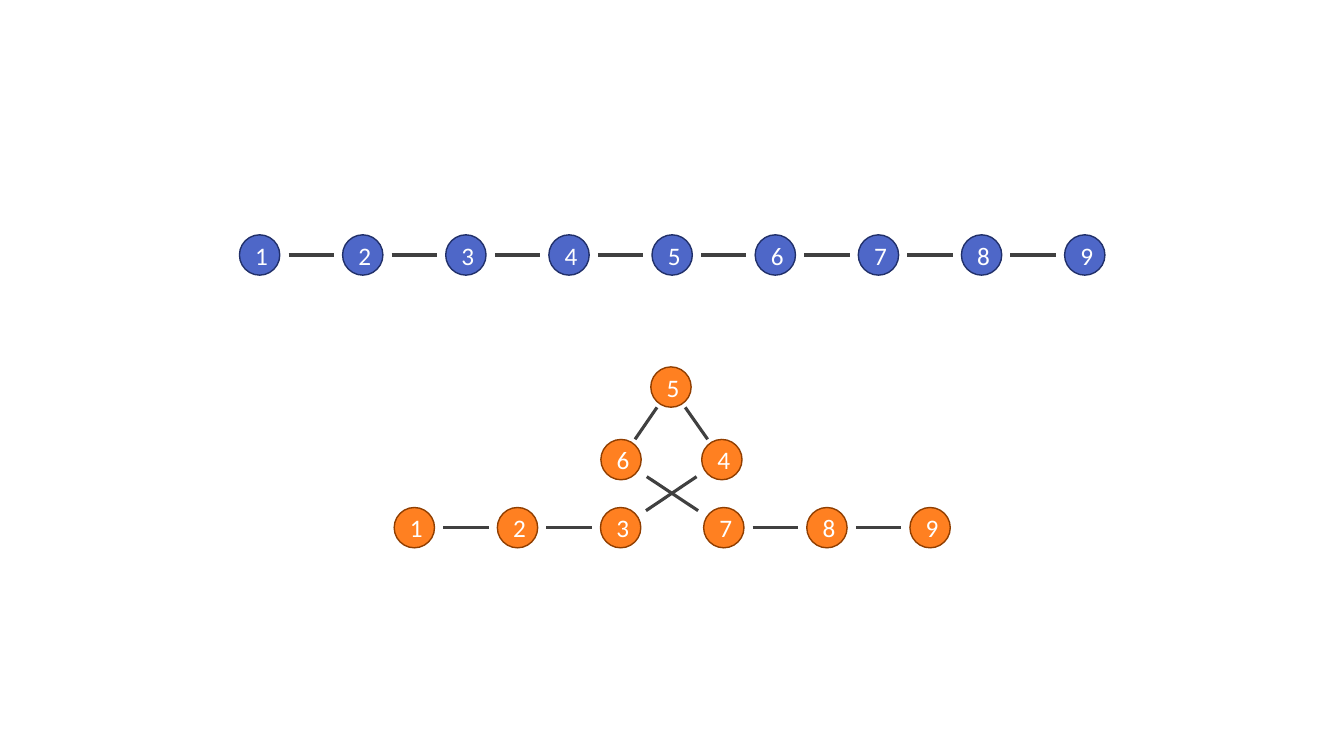
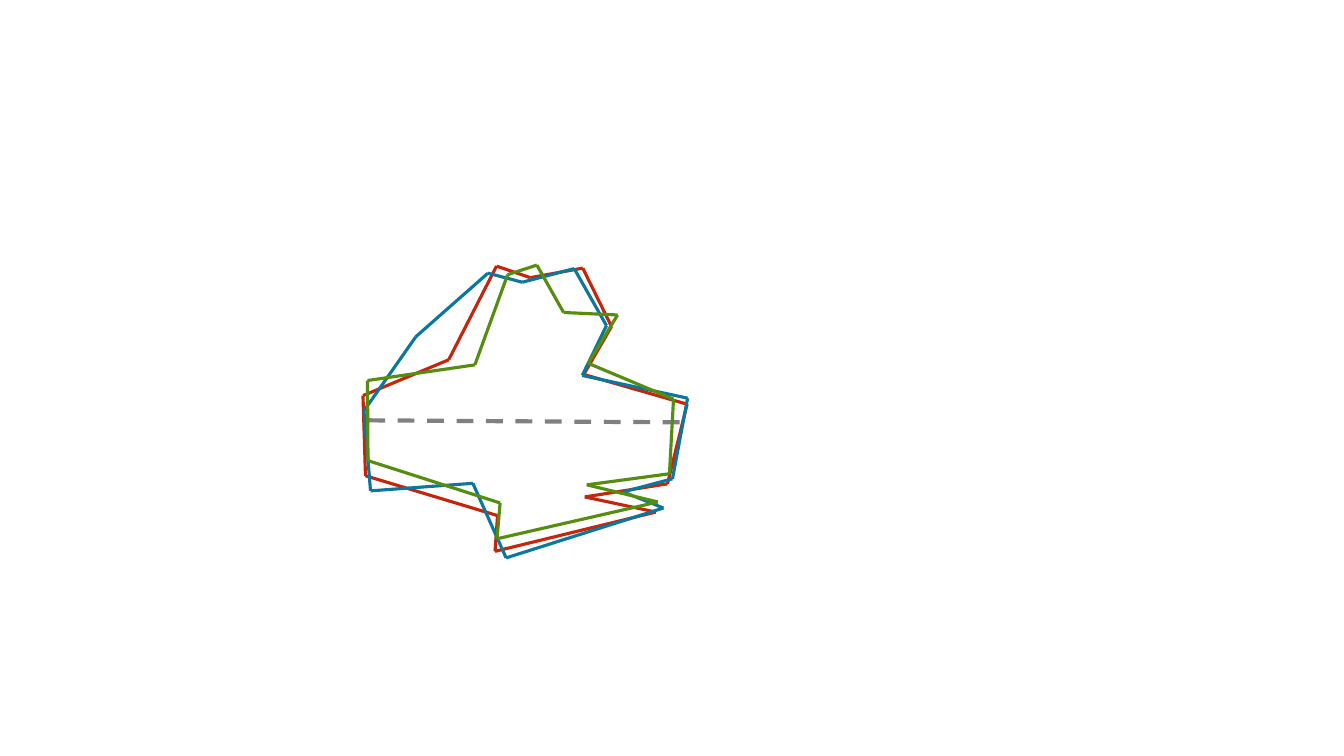
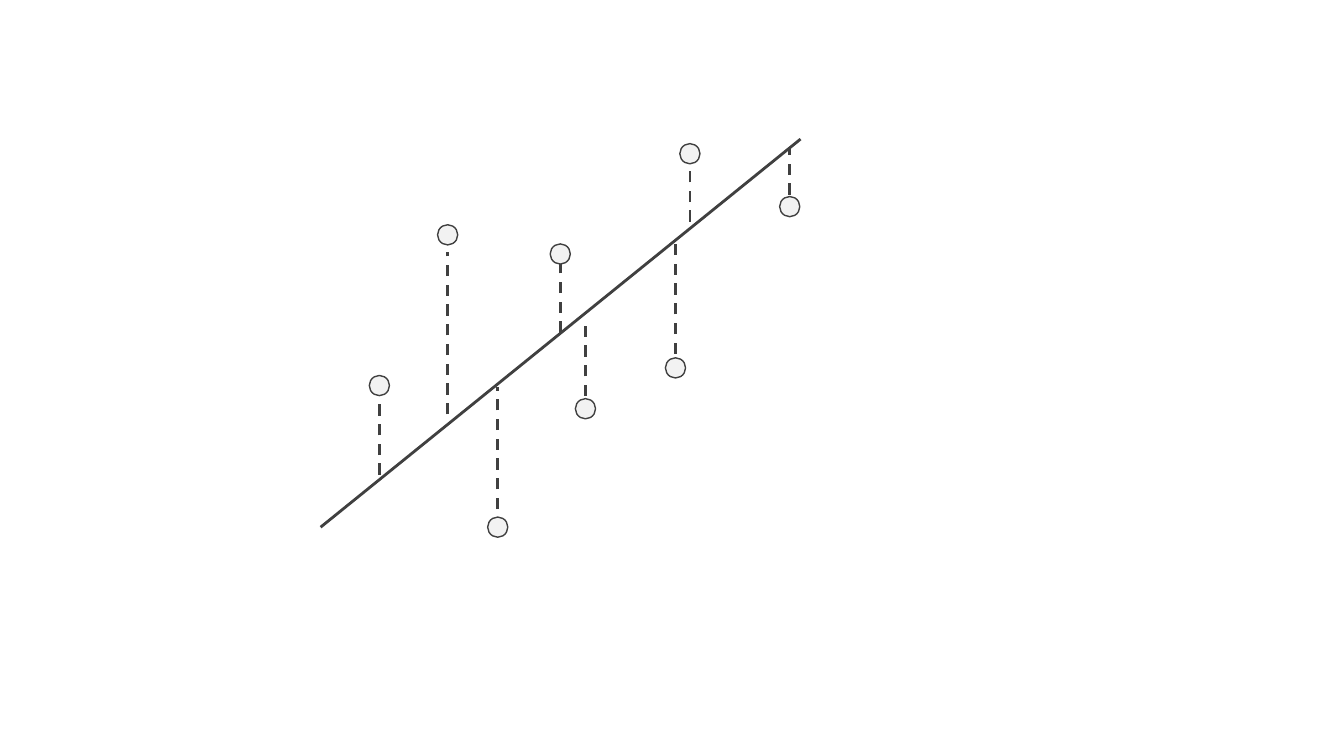
from dataclasses import dataclass
from itertools import pairwise

from lxml import etree
from pptx import Presentation
from pptx.dml.color import RGBColor
from pptx.enum.dml import MSO_LINE
from pptx.enum.shapes import MSO_CONNECTOR, MSO_SHAPE
from pptx.enum.text import MSO_ANCHOR, PP_ALIGN
from pptx.oxml.ns import qn
from pptx.util import Inches, Pt

STRAIGHT = MSO_CONNECTOR.STRAIGHT
ELLIPSE = MSO_SHAPE.OVAL
DASH = MSO_LINE.DASH
MIDDLE = MSO_ANCHOR.MIDDLE
CENTER = PP_ALIGN.CENTER
BLANK_LAYOUT = 6
GRID_ROWS = 75


@dataclass(frozen=True)
class Theme:
    font: str = "Calibri"
    label_size: float = 18
    ink: str = "404040"
    gray: str = "808080"
    pale: str = "F2F2F2"
    white: str = "FFFFFF"
    blue: str = "4E67C8"
    navy: str = "21306A"
    orange: str = "FF8021"
    brown: str = "903E00"
    red: str = "C3260C"
    teal: str = "0C779D"
    green: str = "568D11"
    thin: float = 1
    medium: float = 2
    strong: float = 2.25
    heavy: float = 3


THEME = Theme()


class Sketch:
    def __init__(self, theme):
        self.theme = theme
        self.deck = Presentation()
        self.deck.slide_width = Inches(13.33)
        self.deck.slide_height = Inches(7.5)
        self.cell = self.deck.slide_height / GRID_ROWS
        self.page = None

    def add_page(self):
        self.page = self.deck.slides.add_slide(self.deck.slide_layouts[BLANK_LAYOUT])

    def cells(self, *counts):
        return [round(count * self.cell) for count in counts]

    def stroke(self, line, color, weight, dash=None):
        line.color.rgb = RGBColor.from_string(color)
        for name, value in {"width": Pt(weight), "dash_style": dash}.items():
            setattr(line, name, value)

    def segment(self, start, end, color, weight, dash=None):
        connector = self.page.shapes.add_connector(
            STRAIGHT, *self.cells(*start, *end)
        )
        self.stroke(connector.line, color, weight, dash)
        properties = connector.element.find(qn("p:spPr"))
        etree.SubElement(properties, qn("a:effectLst"))

    def outline(self, corners, color):
        for start, end in pairwise(corners + corners[:1]):
            self.segment(start, end, color, self.theme.strong)

    def link(self, start, end, share):
        margin = (1 - share) / 2
        near, far = (
            [a + (b - a) * part for a, b in zip(start, end)]
            for part in (margin, 1 - margin)
        )
        self.segment(near, far, self.theme.ink, self.theme.strong)

    def disc(self, center, size, fill, edge):
        x, y = center
        box = self.page.shapes.add_shape(
            ELLIPSE, *self.cells(x - size / 2, y - size / 2, size, size)
        )
        box.shadow.inherit = False
        box.fill.solid()
        box.fill.fore_color.rgb = RGBColor.from_string(fill)
        self.stroke(box.line, edge, self.theme.thin)
        return box

    def node(self, center, label, fill, edge):
        box = self.disc(center, 4, fill, edge)
        box.text_frame.vertical_anchor = MIDDLE
        para = box.text_frame.paragraphs[0]
        para.alignment = CENTER
        span = para.add_run()
        span.text = label
        style = {"name": self.theme.font, "size": Pt(self.theme.label_size)}
        for name, value in style.items():
            setattr(span.font, name, value)
        span.font.color.rgb = RGBColor.from_string(self.theme.white)

    def chain(self, centers, fill, edge, wide_links=()):
        for number, center in enumerate(centers, 1):
            self.node(center, str(number), fill, edge)
        for number, (start, end) in enumerate(pairwise(centers), 1):
            self.link(start, end, 0.5 if number in wide_links else 0.44)


NODE_PITCH = 10.23
STRAIGHT_CHAIN = [(25.75 + NODE_PITCH * step, 25.3) for step in range(9)]
LOOP_BASE = [(41.1 + NODE_PITCH * step, 52.35) for step in range(6)]
LOOP_TOP = [(71.6, 45.6), (66.55, 38.4), (61.6, 45.6)]
LOOPED_CHAIN = LOOP_BASE[:3] + LOOP_TOP + LOOP_BASE[3:]
CROSSING_LINKS = (3, 6)

RED_OUTLINE = [
    (49.25, 26.4), (44.5, 35.7), (36.0, 39.25), (36.25, 47.2), (49.35, 51.15),
    (49.1, 54.7), (65.05, 50.8), (58.0, 49.3), (66.2, 48.0), (68.15, 40.1),
    (57.9, 37.15), (60.65, 32.4), (57.8, 26.6), (52.6, 27.55),
]
BLUE_OUTLINE = [
    (48.4, 27.1), (41.25, 33.4), (36.1, 40.75), (36.75, 48.7), (46.9, 47.95),
    (50.2, 55.35), (65.8, 50.4), (61.8, 48.8), (66.7, 47.5), (68.2, 39.5),
    (57.75, 37.25), (60.15, 32.3), (56.95, 26.65), (51.8, 28.0),
]
GREEN_OUTLINE = [
    (50.35, 27.25), (47.1, 36.2), (36.45, 37.75), (36.5, 45.7), (49.6, 49.9),
    (49.3, 53.45), (65.25, 49.8), (58.2, 48.1), (66.4, 47.0), (66.8, 39.6),
    (58.35, 36.05), (61.25, 31.25), (55.9, 31.0), (53.25, 26.3),
]
MIDLINE = ((67.4, 41.9), (36.1, 41.7))

TREND = ((31.8, 52.3), (79.4, 13.8))
OBSERVATIONS = [
    (37.63, 38.25, 47.1, 39.3),
    (44.4, 23.3, 41.1, 25.0),
    (49.37, 52.3, 50.5, 38.4),
    (55.57, 25.2, 33.0, 26.2),
    (58.07, 40.55, 39.3, 31.6),
    (67.0, 36.5, 35.1, 23.6),
    (68.43, 15.25, 22.0, 16.7),
    (78.33, 20.5, 19.3, 14.8),
]


def add_chains(sketch):
    sketch.add_page()
    sketch.chain(STRAIGHT_CHAIN, THEME.blue, THEME.navy)
    sketch.chain(LOOPED_CHAIN, THEME.orange, THEME.brown, CROSSING_LINKS)


def add_outlines(sketch):
    sketch.add_page()
    sketch.outline(RED_OUTLINE, THEME.red)
    sketch.segment(*MIDLINE, THEME.gray, THEME.heavy, DASH)
    sketch.outline(BLUE_OUTLINE, THEME.teal)
    sketch.outline(GREEN_OUTLINE, THEME.green)


def add_residuals(sketch):
    sketch.add_page()
    sketch.segment(*TREND, THEME.ink, THEME.medium)
    for x, y, low, high in OBSERVATIONS:
        sketch.disc((x, y), 2, THEME.pale, THEME.ink)
        sketch.segment((x, low), (x, high), THEME.ink, THEME.medium, DASH)


def main():
    sketch = Sketch(THEME)
    for add_content in (add_chains, add_outlines, add_residuals):
        add_content(sketch)
    sketch.deck.save("out.pptx")


if __name__ == "__main__":
    main()
